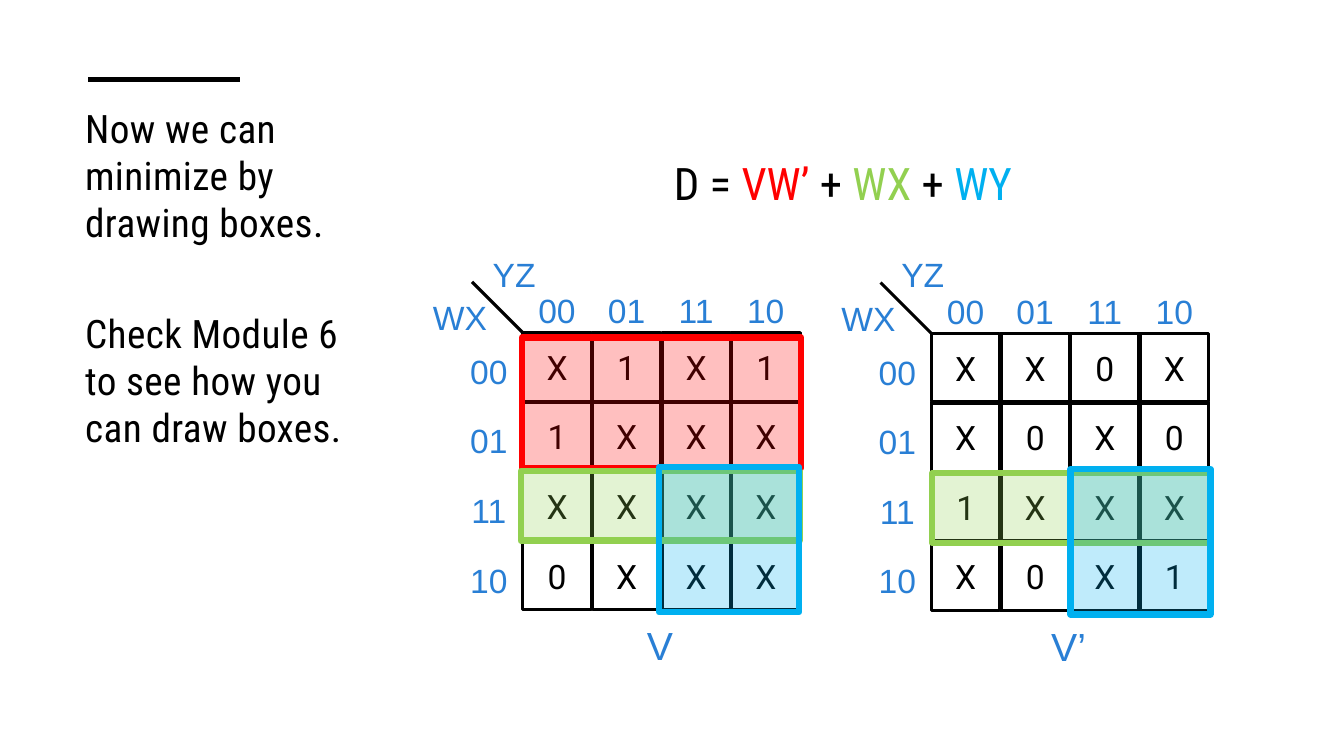
from lxml.etree import SubElement
from pptx import Presentation
from pptx.dml.color import RGBColor
from pptx.enum.shapes import MSO_CONNECTOR, MSO_SHAPE
from pptx.enum.text import MSO_ANCHOR, PP_ALIGN
from pptx.oxml.ns import qn
from pptx.util import Inches, Pt

WIDE, HIGH = 13.33, 7.5
STEP = 0.69  # one map cell, in inches
BLACK = RGBColor(0, 0, 0)
LABEL = RGBColor(0x29, 0x7F, 0xD5)
RED = RGBColor(0xFF, 0, 0)
GREEN = RGBColor(0x92, 0xD0, 0x50)
BLUE = RGBColor(0, 0xB0, 0xF0)
HEAD = "Roboto Condensed"
GRAY = ("00", "01", "11", "10")


def style(run, size, face, color):
    run.font.size = Pt(size)
    run.font.name = face
    run.font.color.rgb = color


def add_line(slide, start, end, width):
    line = slide.shapes.add_connector(
        MSO_CONNECTOR.STRAIGHT, *map(Inches, start + end))
    line.line.color.rgb = BLACK
    line.line.width = Pt(width)
    SubElement(line._element.spPr, qn("a:effectLst"))


def add_rect(slide, box, color, width):
    rect = slide.shapes.add_shape(MSO_SHAPE.RECTANGLE, *map(Inches, box))
    rect.shadow.inherit = False
    rect.fill.background()
    rect.line.color.rgb = color
    rect.line.width = Pt(width)
    return rect


def add_text(slide, box):
    frame = slide.shapes.add_textbox(*map(Inches, box)).text_frame
    frame.word_wrap = True
    return frame


def fill_text(frame, text, size, face, color):
    """Put one centred line of text in a frame."""
    frame.text = text
    part = frame.paragraphs[0]
    part.alignment = PP_ALIGN.CENTER
    style(part.runs[0], size, face, color)


def draw_side(slide, box):
    """Short rule with the two remarks below it."""
    left, top, width, height = box
    add_line(slide, (left + 0.13, top - 0.19), (left + 1.63, top - 0.19), 3.5)
    frame = add_text(slide, box)
    frame.text = ("Now we can minimize by drawing boxes.\n"
                  "Check Module 6 to see how you can draw boxes.")
    for part in frame.paragraphs:
        part.space_after = Pt(6)
        style(part.runs[0], 28, HEAD, BLACK)
        part.runs[0].font._element.set("spc", "30")
    frame.paragraphs[1].space_before = Pt(39.6)


def draw_sum(slide, box):
    """Minimized formula, each term in the colour of its loop."""
    part = add_text(slide, box).paragraphs[0]
    for text, color in (("D = ", BLACK), ("VW’ ", RED), ("+ ", BLACK),
                        ("WX ", GREEN), ("+ ", BLACK), ("WY", BLUE)):
        run = part.add_run()
        run.text = text
        style(run, 32, HEAD, color)


def draw_map(slide, left, top, name, rows, loops):
    """Karnaugh map at left, top; all parts are placed in cell units."""
    def spot(col, row):
        return left + col * STEP, top + row * STEP

    def label(text, col, row, width, height=0.5, size=24):
        frame = add_text(slide, (*spot(col, row), width, height))
        fill_text(frame, text, size, "Arial", LABEL)

    for row, marks in enumerate(rows):
        for col, mark in enumerate(marks):
            cell = add_rect(slide, (*spot(col, row), 0.68, 0.68), BLACK, 2.25)
            cell.text_frame.vertical_anchor = MSO_ANCHOR.MIDDLE
            fill_text(cell.text_frame, mark, 24, "Roboto", BLACK)

    add_line(slide, spot(0, 0), spot(-0.73, -0.73), 2.25)
    label("WX", -1.65, -0.58, 1.03)
    label("YZ", -0.87, -1.21, 1.03)
    for index, code in enumerate(GRAY):
        label(code, index + 0.02, -0.68, 0.65)
        label(code, -0.96, index + 0.19, 0.65)
    label(name, 1.06, 4.08, 1.26, 0.57, 28)

    for color, col, row, cols, deep in loops:
        box = (*spot(col, row), cols * STEP, deep * STEP)
        loop = add_rect(slide, box, color, 4.5)
        loop.fill.solid()
        loop.fill.fore_color.rgb = color
        tint = loop._element.spPr.find(qn("a:solidFill"))[0]
        SubElement(tint, qn("a:alpha"), val="25000")


def shared(col, row):
    """The WX and WY loops, which both maps have."""
    return [(GREEN, col, row, 4.01, 1),
            (BLUE, col + 1.99, row - 0.06, 2.01, 2.09)]


def main():
    deck = Presentation()
    deck.slide_width, deck.slide_height = Inches(WIDE), Inches(HIGH)
    slide = deck.slides.add_slide(deck.slide_layouts[6])
    draw_side(slide, (0.056 * WIDE, 0.131 * HIGH, 0.223 * WIDE, 0.704 * HIGH))
    draw_map(slide, 0.389 * WIDE, 0.44 * HIGH, "V",
             ("X1X1", "1XXX", "XXXX", "0XXX"),
             [(RED, -0.01, 0.07, 4.01, 1.88)] + shared(-0.03, 1.99))
    draw_map(slide, 0.693 * WIDE, 0.441 * HIGH, "V’",
             ("XX0X", "X0X0", "1XXX", "X0X1"), shared(0.01, 2.01))
    draw_sum(slide, (0.494 * WIDE, 0.2 * HIGH, 0.289 * WIDE, 0.085 * HIGH))
    deck.save("out.pptx")


if __name__ == "__main__":
    main()
